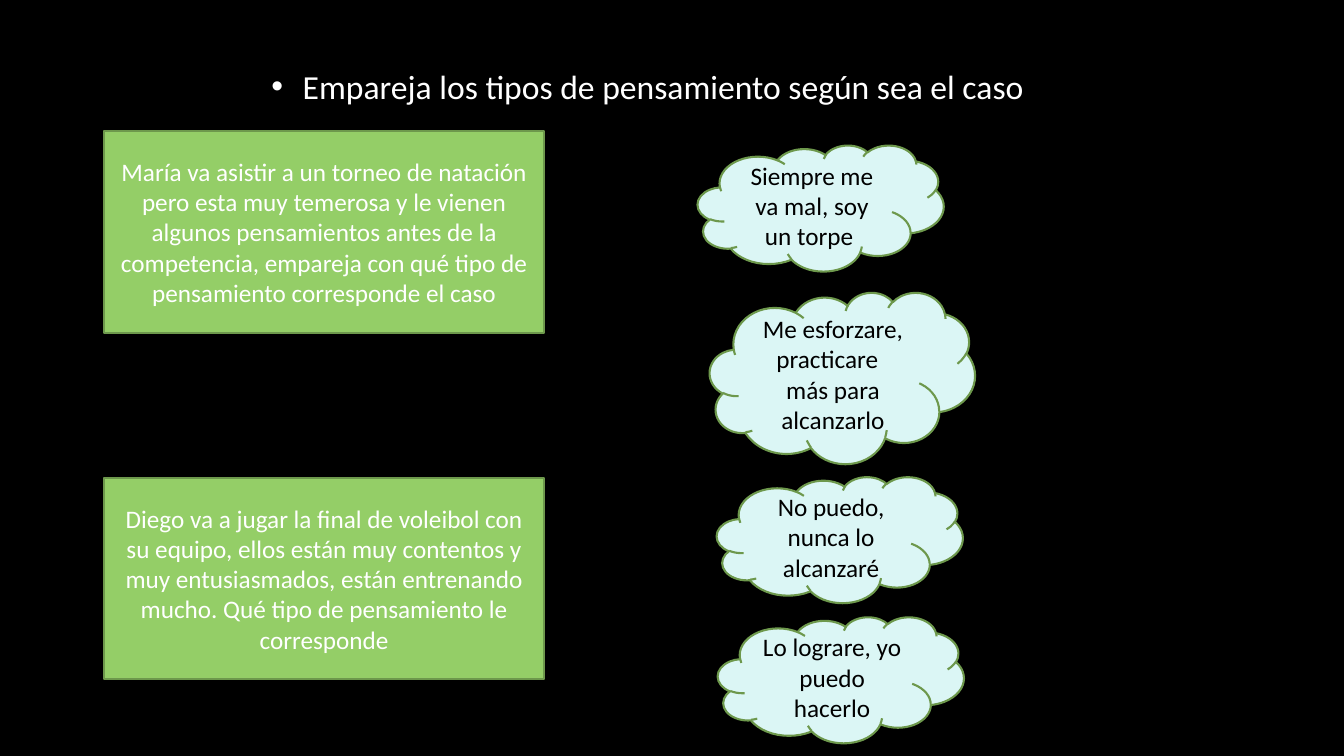
from lxml.etree import SubElement
from pptx import Presentation
from pptx.dml.color import RGBColor
from pptx.enum.shapes import MSO_SHAPE
from pptx.enum.text import MSO_ANCHOR, MSO_AUTO_SIZE, PP_ALIGN
from pptx.oxml.ns import qn
from pptx.util import Inches, Pt

COLORS = {
    "background": "000000",
    "light": "FFFFFF",
    "dark": "000000",
    "cloud": "DBF6F5",
    "case": "94CE67",
    "outline": "6D984C",
}


def color(name):
    return RGBColor.from_string(COLORS[name])


def write_text(frame, text, size=18, ink="light", font="Calibri", after=0):
    """Put one centred paragraph in a text frame and return it."""
    frame.word_wrap = True
    frame.auto_size = MSO_AUTO_SIZE.NONE
    frame.vertical_anchor = MSO_ANCHOR.MIDDLE
    para = frame.paragraphs[0]
    para.alignment = PP_ALIGN.CENTER
    para.space_before = Pt(0)
    para.space_after = Pt(after)
    span = para.add_run()
    span.text = text
    span.font.name = font
    span.font.size = Pt(size)
    span.font.color.rgb = color(ink)
    return para


class MatchingPage:
    """Holds the current slide and the look of its elements."""

    def __init__(self, deck):
        self.page = deck.slides.add_slide(deck.slide_layouts[1])
        background = self.page.background.fill
        background.solid()
        background.fore_color.rgb = color("background")
        title = self.page.shapes.title
        title.element.getparent().remove(title.element)

    def instruction(self, text, left, top, width, height):
        body = self.page.placeholders[1]
        body.left, body.top = Inches(left), Inches(top)
        body.width, body.height = Inches(width), Inches(height)
        para = write_text(body.text_frame, text, size=24, after=10)
        # Bullet with a hanging indent
        properties = para._p.get_or_add_pPr()
        properties.set("marL", str(Inches(0.31)))
        properties.set("indent", str(Inches(-0.31)))
        bullet_color = SubElement(properties, qn("a:buClr"))
        SubElement(bullet_color, qn("a:srgbClr"), val=COLORS["light"])
        SubElement(properties, qn("a:buFont"), typeface="Arial")
        SubElement(properties, qn("a:buChar"), char="•")

    def box(self, kind, text, left, top, width, height, fill, ink):
        box = self.page.shapes.add_shape(
            kind, Inches(left), Inches(top), Inches(width), Inches(height))
        box.shadow.inherit = False
        box.fill.solid()
        box.fill.fore_color.rgb = color(fill)
        box.line.color.rgb = color("outline")
        box.line.width = Pt(1.5)
        write_text(box.text_frame, text, ink=ink)

    def thought(self, text, left, top, width=2.44, height=1.25):
        self.box(MSO_SHAPE.CLOUD, text, left, top, width, height, "cloud", "dark")

    def case(self, text, top):
        self.box(MSO_SHAPE.RECTANGLE, text, 1.03, top, 4.37, 2, "case", "light")


def main():
    deck = Presentation()
    deck.slide_width, deck.slide_height = Inches(13.33), Inches(7.5)
    matching = MatchingPage(deck)

    # Instruction
    matching.instruction("Empareja los tipos de pensamiento según sea el caso ",
                         0.92, 0.28, 11.08, 1.15)

    # Thoughts to be matched
    matching.thought("Siempre me va mal, soy un torpe ", 6.92, 1.44)
    matching.thought("Me esforzare, practicare   más para alcanzarlo",
                     7.04, 2.9, width=2.63, height=1.7)
    matching.thought("No puedo, nunca lo alcanzaré", 7.11, 4.73)
    matching.thought("Lo lograre, yo puedo hacerlo", 7.12, 6.12)

    # Cases
    matching.case("María va asistir a un torneo de natación pero esta muy "
                  "temerosa y le vienen algunos pensamientos antes de la "
                  "competencia, empareja con qué tipo de pensamiento "
                  "corresponde el caso", 1.3)
    matching.case("Diego va a jugar la final de voleibol con su equipo, ellos "
                  "están muy contentos y muy entusiasmados, están entrenando "
                  "mucho. Qué tipo de pensamiento le corresponde", 4.74)

    deck.save("out.pptx")


if __name__ == "__main__":
    main()
